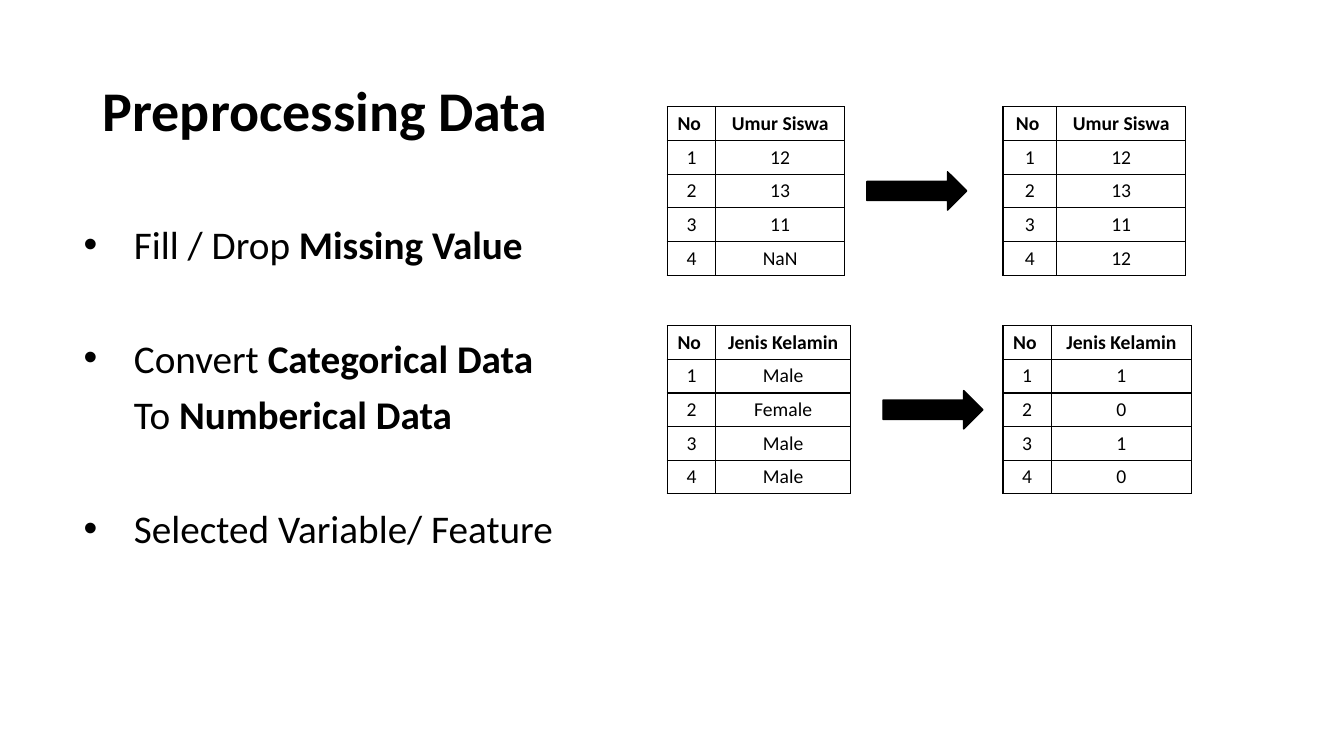
"""Build the Preprocessing Data slide: three steps beside two before-and-after table pairs."""
from pptx import Presentation
from pptx.dml.color import RGBColor as Color
from pptx.enum.shapes import MSO_SHAPE as Shape
from pptx.enum.text import MSO_ANCHOR as Anchor, MSO_AUTO_SIZE as Fit, PP_ALIGN as Align
from pptx.oxml.ns import qn
from pptx.util import Inches, Pt
from lxml.etree import SubElement as Sub

BLACK = Color(0, 0, 0)
FACE = "Calibri"
HEAD, BODY, CELL = 40, 28, 14
GAP = 41


def put(item, form):
    for name, value in form.items():
        setattr(item, name, value)


class Page:
    """Hold the style and the slide; lengths are percent of slide width and height."""

    def __init__(self, deck):
        self.wide, self.high = deck.slide_width, deck.slide_height
        self.slide = deck.slides.add_slide(deck.slide_layouts[5])
        self.items = self.slide.shapes

    def across(self, share):
        return round(self.wide * share / 100)

    def down(self, share):
        return round(self.high * share / 100)

    def box(self, left, top, width, height):
        return self.across(left), self.down(top), self.across(width), self.down(height)

    def label(self, para, text, size, bold=False):
        run = para.add_run()
        run.text = text
        put(run.font, {"name": FACE, "size": Pt(size), "bold": bold})
        run.font.color.rgb = BLACK

    def title(self, text, *area):
        head = self.items.title
        put(head, dict(zip(("left", "top", "width", "height"), self.box(*area))))
        put(head.text_frame, {"word_wrap": True, "auto_size": Fit.NONE,
                              "vertical_anchor": Anchor.MIDDLE})
        para = head.text_frame.paragraphs[0]
        put(para, {"alignment": Align.LEFT, "line_spacing": 0.9})
        self.label(para, text, HEAD, True)

    def bullets(self, steps, *area):
        frame = self.items.add_textbox(*self.box(*area)).text_frame
        frame.word_wrap = True
        for order, lines in enumerate(steps):
            para = frame.add_paragraph() if order else frame.paragraphs[0]
            put(para, {"line_spacing": 1.2, "space_after": Pt(GAP)})
            props = para._p.get_or_add_pPr()
            props.set("marL", str(Inches(0.5)))
            props.set("indent", str(-Inches(0.5)))
            Sub(props, qn("a:buFont"), typeface="Arial")
            Sub(props, qn("a:buChar"), char="•")
            for row, (plain, strong) in enumerate(lines):
                if row:
                    para.add_line_break()
                self.label(para, plain, BODY)
                if strong:
                    self.label(para, strong, BODY, True)

    def border(self, cell):
        props = cell._tc.get_or_add_tcPr()
        for side in ("lnL", "lnR", "lnT", "lnB"):
            line = Sub(props, qn("a:" + side), w=str(Pt(1)))
            fill = Sub(line, qn("a:solidFill"))
            Sub(fill, qn("a:srgbClr"), val=str(BLACK))

    def table(self, name, values, left, top, widths):
        rows = [("No ", name)] + [(str(n), v) for n, v in enumerate(values, 1)]
        area = self.box(left, top, sum(widths), 4.44 * len(rows))
        grid = self.items.add_table(len(rows), len(widths), *area).table
        put(grid, {"first_row": False, "horz_banding": False})
        for col, width in zip(grid.columns, widths):
            col.width = self.across(width)
        for r, row in enumerate(rows):
            grid.rows[r].height = self.down(4.44)
            for c, text in enumerate(row):
                cell = grid.cell(r, c)
                self.border(cell)
                cell.fill.background()
                para = cell.text_frame.paragraphs[0]
                para.alignment = Align.CENTER
                self.label(para, text, CELL, r == 0)

    def arrow(self, left, top):
        shape = self.items.add_shape(Shape.RIGHT_ARROW, *self.box(left, top, 7.43, 5.07))
        shape.shadow.inherit = False
        for paint in (shape.fill, shape.line.fill):
            paint.solid()
            paint.fore_color.rgb = BLACK
        shape.line.width = Pt(1)


STEPS = [
    [("Fill / Drop ", "Missing Value")],
    [("Convert ", "Categorical Data "), ("To ", "Numberical Data")],
    [("Selected Variable/ Feature ", "")],
]
BEFORE, AFTER = 49.65, 74.63
PAIRS = [
    ("Umur Siswa", 14.13, 64.5,
     (("12", "13", "11", "NaN"), (3.6, 9.6)), (("12", "13", "11", "12"), (4, 9.6))),
    ("Jenis Kelamin", 43.07, 65.7,
     (("Male", "Female", "Male", "Male"), (3.6, 10.05)), (("1", "0", "1", "0"), (3.6, 10.43))),
]

deck = Presentation()
put(deck, {"slide_width": Inches(13.33), "slide_height": Inches(7.5)})
page = Page(deck)
page.title("Preprocessing Data", 6.9, 5.33, 86.25, 19.33)
page.bullets(STEPS, 5.48, 27.2, 40.73, 61.6)
for name, top, tip, *sides in PAIRS:
    for left, (values, widths) in zip((BEFORE, AFTER), sides):
        page.table(name, values, left, top, widths)
    page.arrow(tip, top + 8.6)
deck.save("out.pptx")
